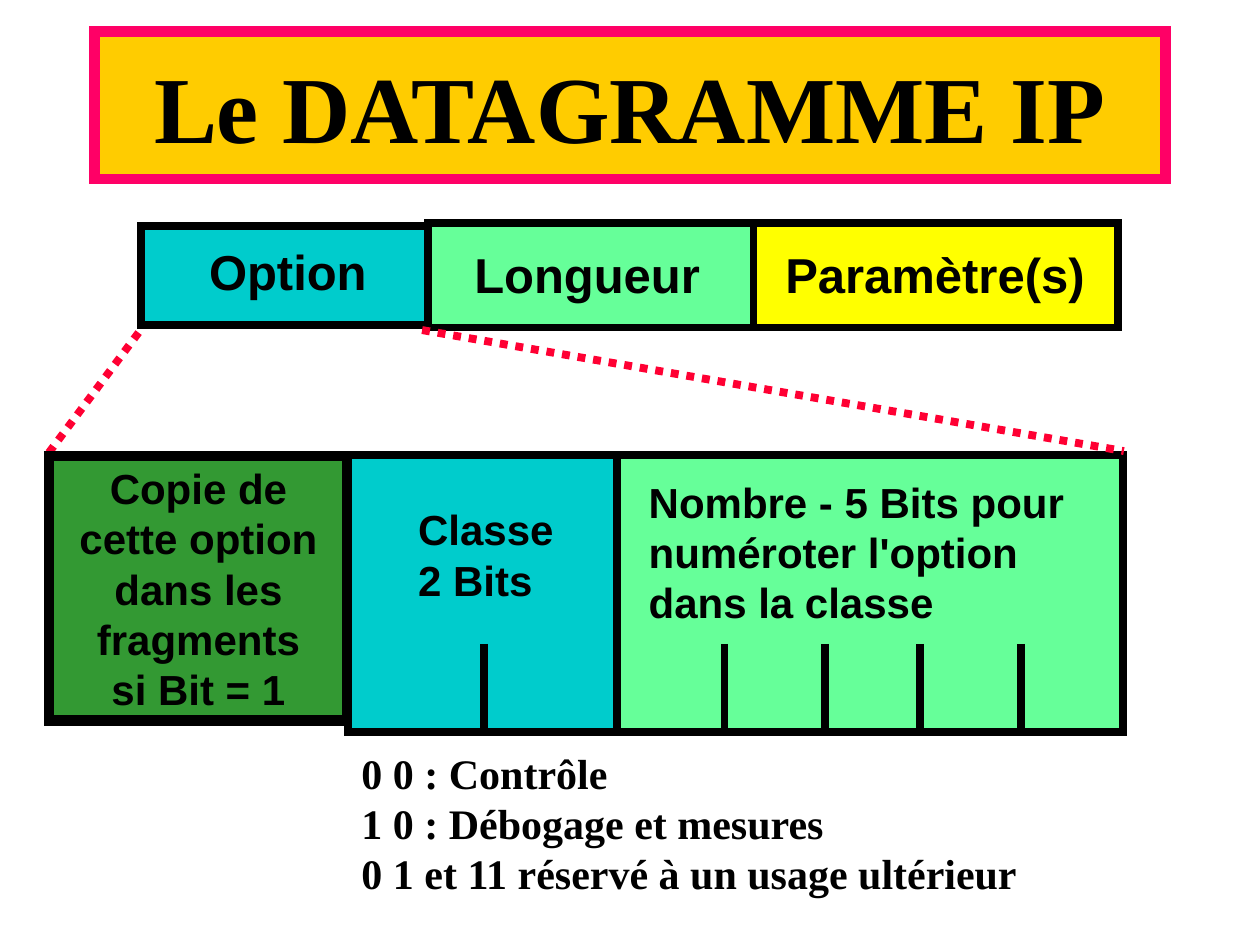
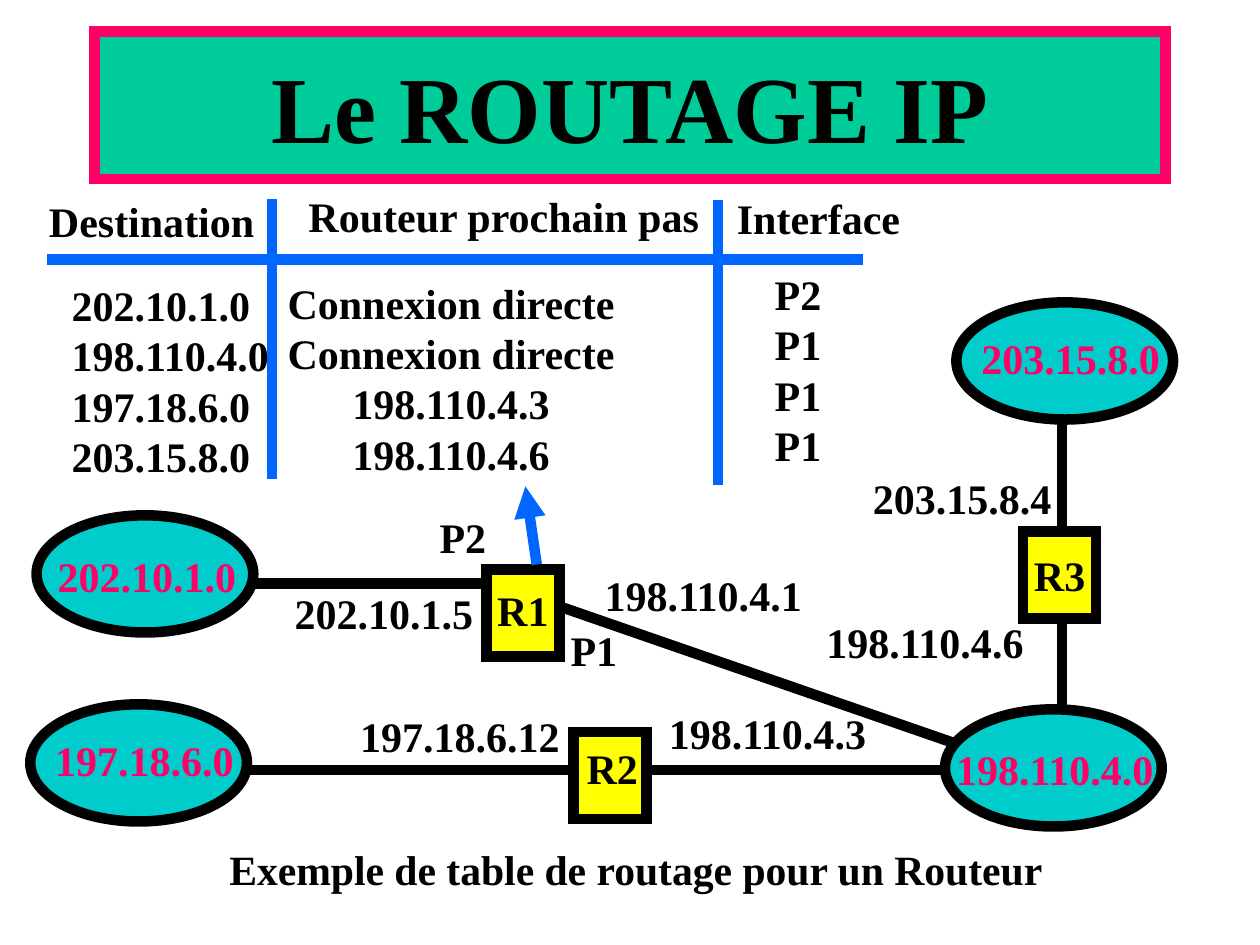
"""Build two slides on the IP datagram option field and IP routing."""
from dataclasses import dataclass
from typing import Optional

from lxml import etree
from pptx import Presentation
from pptx import util as u
from pptx.dml.color import RGBColor
from pptx.enum import dml, shapes, text
from pptx.oxml import ns

PX = 9144
BLACK = RGBColor(0x00, 0x00, 0x00)
PINK = RGBColor(0xFF, 0x00, 0x66)
RED = RGBColor(0xFF, 0x00, 0x33)
BLUE = RGBColor(0x00, 0x66, 0xFF)
GOLD = RGBColor(0xFF, 0xCC, 0x00)
TEAL = RGBColor(0x00, 0xCC, 0x99)
CYAN = RGBColor(0x00, 0xCC, 0xCC)
MINT = RGBColor(0x66, 0xFF, 0x99)
GREEN = RGBColor(0x33, 0x99, 0x33)
YELLOW = RGBColor(0xFF, 0xFF, 0x00)

SERIF, SANS = "Times New Roman", "Arial"
LEFT, CENTER = text.PP_ALIGN.LEFT, text.PP_ALIGN.CENTER
TOP, MIDDLE = text.MSO_ANCHOR.TOP, text.MSO_ANCHOR.MIDDLE
RECT, OVAL = shapes.MSO_SHAPE.RECTANGLE, shapes.MSO_SHAPE.OVAL
GROW, FIXED = text.MSO_AUTO_SIZE.SHAPE_TO_FIT_TEXT, text.MSO_AUTO_SIZE.NONE
DOTTED = dml.MSO_LINE.ROUND_DOT


@dataclass
class Style:
    name: str = SERIF
    size: float = 24
    color: RGBColor = BLACK
    align: text.PP_ALIGN = LEFT


@dataclass
class Box:
    x: int
    y: int
    w: int
    h: int
    fill: RGBColor
    weight: float = 4.5
    kind: shapes.MSO_SHAPE = RECT


@dataclass
class Label:
    x: int
    y: int
    w: int
    h: int
    lines: list[str]
    style: Style
    wrap: bool = False


@dataclass
class Line:
    x1: int
    y1: int
    x2: int
    y2: int
    color: RGBColor = BLACK
    weight: float = 6
    dash: Optional[dml.MSO_LINE] = None
    arrow: bool = False


PLAIN = Style()
CENTERED = Style(align=CENTER)
NETWORK = Style(color=PINK)
FIELD = Style(SANS, 28, align=CENTER)
DETAIL = Style(SANS)
FLAG = Style(SANS, align=CENTER)
TITLE = Style(size=54, align=CENTER)
CAPTION = Style(size=23.8, align=CENTER)


def set_all(target, values: dict) -> None:
    for name, value in values.items():
        setattr(target, name, value)


def place(sp, x: int, y: int, w: int, h: int) -> None:
    set_all(sp, {"left": x * PX, "top": y * PX, "width": w * PX, "height": h * PX})


def paint(sp, fill: RGBColor, outline: RGBColor, weight: float) -> None:
    sp.fill.solid()
    sp.fill.fore_color.rgb = fill
    sp.line.color.rgb = outline
    sp.line.width = u.Pt(weight)
    etree.SubElement(sp.element.spPr.find(ns.qn("a:ln")), ns.qn("a:miter"), lim="800000")


def write(tf, lines: list[str], style: Style, wrap: bool = True, anchor=TOP, fit=FIXED) -> None:
    set_all(tf, {"word_wrap": wrap, "vertical_anchor": anchor, "auto_size": fit})
    for i, line in enumerate(lines):
        p = tf.add_paragraph() if i else tf.paragraphs[0]
        set_all(p, {"alignment": style.align, "space_before": u.Pt(0)})
        r = p.add_run()
        r.text = line
        set_all(r.font, {"name": style.name, "size": u.Pt(style.size), "bold": True})
        r.font.color.rgb = style.color


def add_box(s, box: Box):
    sp = s.shapes.add_shape(box.kind, *(n * PX for n in (box.x, box.y, box.w, box.h)))
    sp.shadow.inherit = False
    paint(sp, box.fill, BLACK, box.weight)
    return sp


def add_label(s, label: Label) -> None:
    sp = s.shapes.add_textbox(*(n * PX for n in (label.x, label.y, label.w, label.h)))
    write(sp.text_frame, label.lines, label.style, label.wrap, fit=GROW)


def add_line(s, line: Line) -> None:
    ends = (n * PX for n in (line.x1, line.y1, line.x2, line.y2))
    cxn = s.shapes.add_connector(shapes.MSO_CONNECTOR.STRAIGHT, *ends)
    cxn.line.color.rgb = line.color
    set_all(cxn.line, {"width": u.Pt(line.weight), "dash_style": line.dash})
    spPr = cxn.element.spPr
    if line.arrow:
        etree.SubElement(spPr.find(ns.qn("a:ln")), ns.qn("a:tailEnd"), type="triangle")
    etree.SubElement(spPr, ns.qn("a:effectLst"))


def add_slide(prs, layout: int, title: str, fill: RGBColor):
    s = prs.slides.add_slide(prs.slide_layouts[layout])
    sp = s.shapes.title
    place(sp, 75, 25, 850, 117)
    paint(sp, fill, PINK, 6)
    write(sp.text_frame, [title], TITLE, anchor=MIDDLE)
    return s


def datagram_slide(prs) -> None:
    s = add_slide(prs, 5, "Le DATAGRAMME IP", GOLD)
    fields = [
        (Box(112, 179, 230, 79, CYAN), Label(125, 187, 207, 57, ["Option"], FIELD, True)),
        (Box(340, 177, 260, 83, MINT), Label(345, 189, 242, 57, ["Longueur"], FIELD, True)),
        (Box(598, 177, 289, 83, YELLOW), Label(609, 189, 266, 57, ["Paramètre(s)"], FIELD, True)),
    ]
    for box, label in fields:
        add_box(s, box)
        add_label(s, label)

    add_line(s, Line(110, 264, 36, 363, RED, 4.5, DOTTED))
    flag = add_box(s, Box(39, 362, 237, 210, GREEN, 6))
    write(flag.text_frame, ["Copie de cette option dans les fragments", "si Bit = 1"], FLAG, fit=GROW)
    for x, w, fill in ((276, 214, CYAN), (490, 401, MINT)):
        add_box(s, Box(x, 361, w, 220, fill))

    number = ["Nombre - 5 Bits pour", "numéroter l'option", "dans la classe"]
    classes = ["0 0 : Contrôle", "1 0 : Débogage et mesures", "0 1 et 11 réservé à un usage ultérieur"]
    add_label(s, Label(322, 395, 129, 90, ["Classe", "2 Bits"], DETAIL))
    add_label(s, Label(505, 373, 352, 130, number, DETAIL))
    add_label(s, Label(277, 588, 544, 130, classes, PLAIN))
    for x in (384, 575, 655, 730, 810):
        add_line(s, Line(x, 511, x, 584, weight=4.5))
    add_line(s, Line(335, 262, 892, 358, RED, 4.5, DOTTED))


def routing_slide(prs) -> None:
    s = add_slide(prs, 1, "Le ROUTAGE IP", TEAL)
    body = s.placeholders[1]
    place(body, 36, 665, 937, 53)
    pPr = body.text_frame.paragraphs[0]._p.get_or_add_pPr()
    for name in ("marL", "indent"):
        pPr.set(name, "0")
    etree.SubElement(pPr, ns.qn("a:buNone"))
    write(body.text_frame, ["Exemple de table de routage pour un Routeur"], CAPTION)

    links = [(843, 332, 843, 561), (749, 611, 191, 611), (446, 482, 758, 590), (384, 463, 197, 463)]
    for ends in links:
        add_line(s, Line(*ends))

    networks = [
        (29, 409, Label(36, 432, 163, 50, ["202.10.1.0"], NETWORK)),
        (24, 559, Label(34, 578, 163, 50, ["197.18.6.0"], NETWORK)),
        (759, 240, Label(769, 259, 163, 50, ["203.15.8.0"], NETWORK)),
        (750, 563, Label(749, 585, 180, 50, ["198.110.4.0"], NETWORK)),
    ]
    for x, y, label in networks:
        add_box(s, Box(x, y, 172, 93, CYAN, 6, OVAL))
        add_label(s, label)

    routers = [
        (812, 422, Label(808, 431, 66, 50, ["R3"], CENTERED, True)),
        (455, 581, Label(453, 584, 66, 50, ["R2"], CENTERED, True)),
        (386, 452, Label(382, 459, 66, 50, ["R1"], CENTERED, True)),
    ]
    for x, y, label in routers:
        add_box(s, Box(x, y, 58, 69, YELLOW, 6))
        add_label(s, label)

    interfaces = [
        (224, 461, 163, "202.10.1.5"),
        (470, 447, 180, "198.110.4.1"),
        (276, 559, 180, "197.18.6.12"),
        (521, 557, 180, "198.110.4.3"),
        (646, 484, 180, "198.110.4.6"),
        (683, 370, 163, "203.15.8.4"),
        (339, 401, 59, "P2"),
        (443, 491, 59, "P1"),
    ]
    headings = [
        (29, 150, 185, "Destination"),
        (575, 148, 152, "Interface"),
        (235, 146, 333, "Routeur prochain pas"),
    ]
    for x, y, w, name in interfaces + headings:
        add_label(s, Label(x, y, w, 50, [name], PLAIN))

    for ends in ((685, 206, 37, 206), (216, 158, 216, 380), (570, 159, 570, 385)):
        add_line(s, Line(*ends, BLUE))
    destinations = ["202.10.1.0", "198.110.4.0", "197.18.6.0", "203.15.8.0"]
    next_hops = ["Connexion directe", "Connexion directe", "198.110.4.3", "198.110.4.6"]
    add_label(s, Label(47, 217, 180, 170, destinations, PLAIN))
    add_label(s, Label(218, 215, 280, 170, next_hops, CENTERED))
    add_label(s, Label(605, 208, 59, 170, ["P2", "P1", "P1", "P1"], PLAIN))
    add_line(s, Line(426, 448, 417, 386, BLUE, arrow=True))


def main() -> None:
    prs = Presentation()
    set_all(prs, {"slide_width": 1000 * PX, "slide_height": 750 * PX})
    datagram_slide(prs)
    routing_slide(prs)
    prs.save("out.pptx")


if __name__ == "__main__":
    main()
